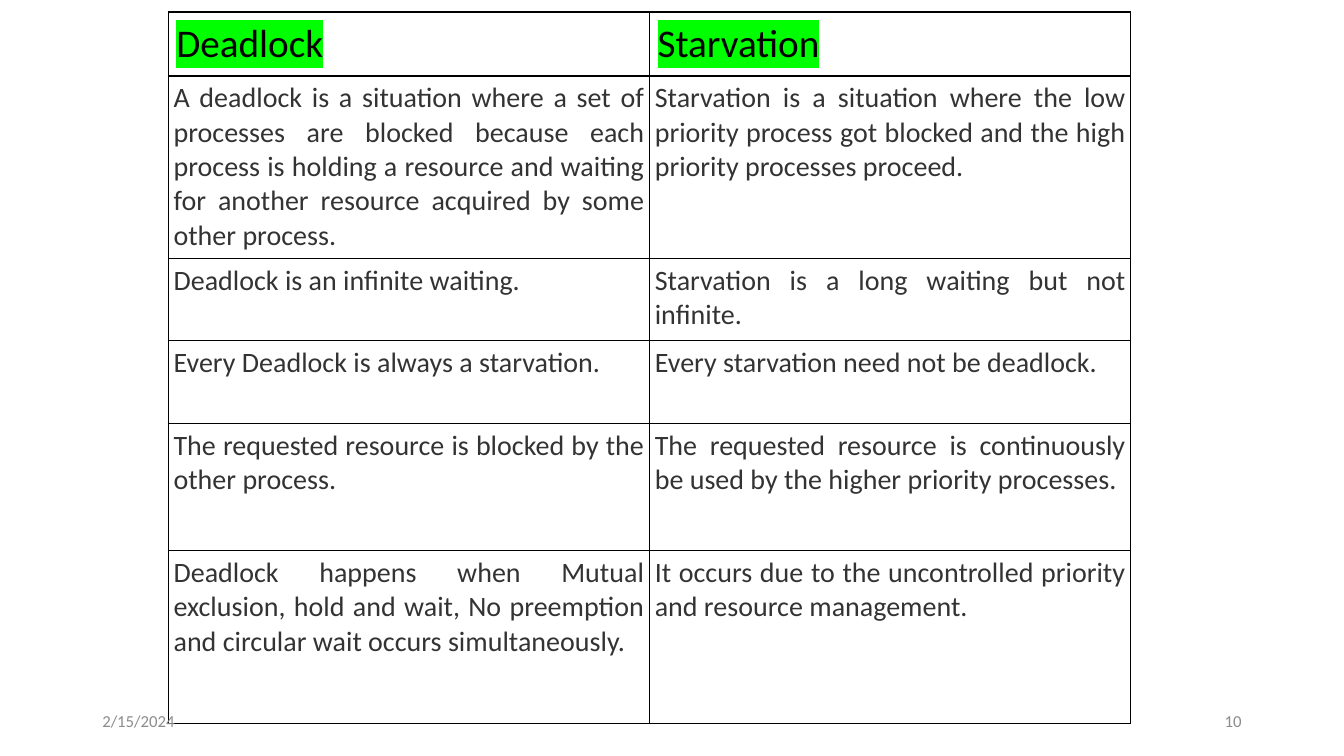
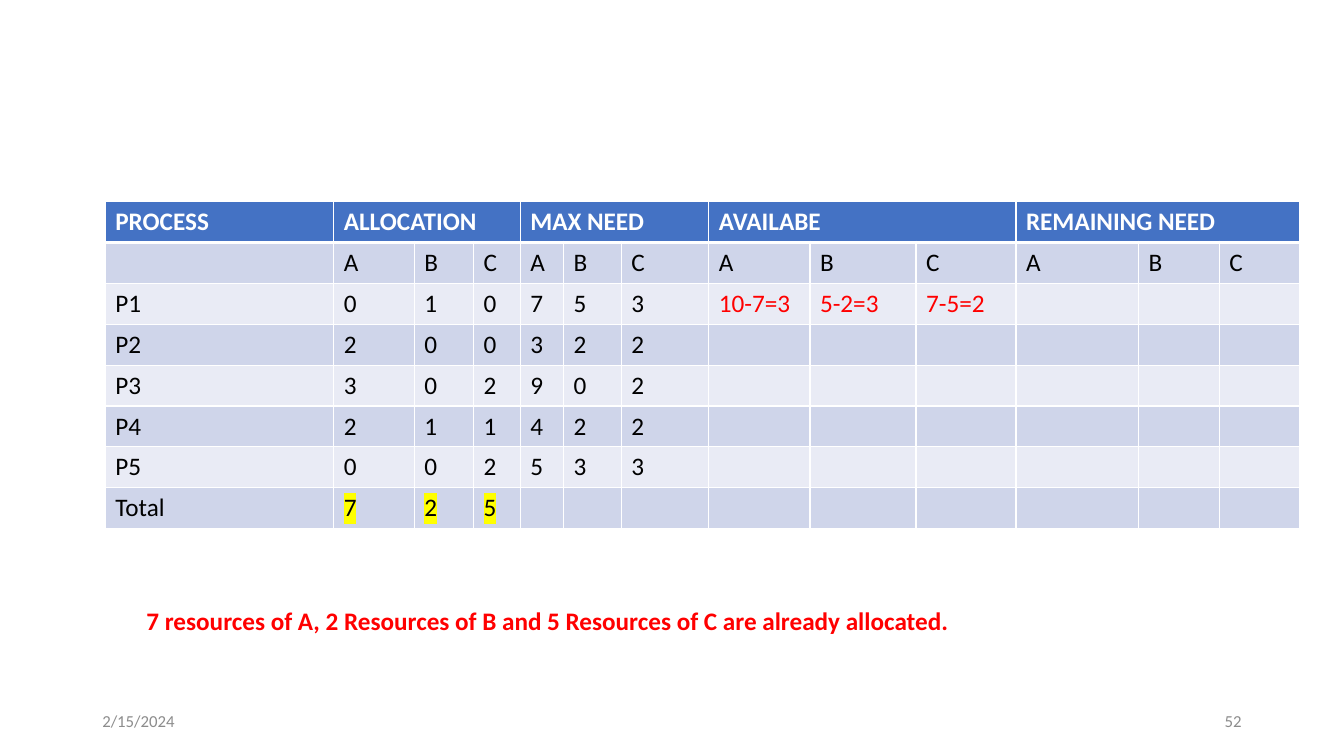
from dataclasses import dataclass
from typing import Sequence

from lxml import etree
from pptx import Presentation
from pptx.dml.color import RGBColor
from pptx.enum import text
from pptx.oxml import ns
from pptx.util import Pt

FONT = "Calibri"
BLACK, WHITE, RED = "000000", "FFFFFF", "FF0000"
GREY, DARK_GREY = "8C8C8C", "333333"
GREEN, YELLOW = "00FF00", "FFFF00"
HEADER_BLUE, BAND_DARK, BAND_LIGHT = "4472C4", "CFD5EA", "E9EBF5"
SIDES = ("L", "R", "T", "B")
DATE = "2/15/2024"

COMPARISON = (
    ("Deadlock", "Starvation"),
    ("A deadlock is a situation where a set of processes are blocked because each "
     "process is holding a resource and waiting for another resource acquired by "
     "some other process.",
     "Starvation is a situation where the low priority process got blocked and the "
     "high priority processes proceed."),
    ("Deadlock is an infinite waiting.",
     "Starvation is a long waiting but not infinite."),
    ("Every Deadlock is always a starvation.",
     "Every starvation need not be deadlock."),
    ("The requested resource is blocked by the other process.",
     "The requested resource is continuously be used by the higher priority processes."),
    ("Deadlock happens when Mutual exclusion, hold and wait, No preemption and "
     "circular wait occurs simultaneously.",
     "It occurs due to the uncontrolled priority and resource management."),
)

GROUPS = ("ALLOCATION", "MAX NEED", "AVAILABE", "REMAINING NEED")
RESOURCES = ("A", "B", "C")
PROCESSES = (
    ("P1", "0", "1", "0", "7", "5", "3", "10-7=3", "5-2=3", "7-5=2"),
    ("P2", "2", "0", "0", "3", "2", "2"),
    ("P3", "3", "0", "2", "9", "0", "2"),
    ("P4", "2", "1", "1", "4", "2", "2"),
    ("P5", "0", "0", "2", "5", "3", "3"),
    ("Total", "7", "2", "5"),
)
AVAILABLE_COLUMNS = range(7, 10)


@dataclass(frozen=True)
class Box:
    left: float
    top: float
    width: float
    height: float


@dataclass(frozen=True)
class TextStyle:
    size: float
    color: str
    bold: bool = False
    highlight: str | None = None
    align: text.PP_ALIGN = text.PP_ALIGN.LEFT


@dataclass(frozen=True)
class CellStyle:
    text: TextStyle
    border: str
    fill: str | None = None
    margin: float | None = None
    bottom_width: float = 1


def rgb(color: str) -> RGBColor:
    return RGBColor.from_string(color)


def add_color(parent, tag: str, color: str):
    """Append a colour element such as a:solidFill and return it."""
    element = etree.SubElement(parent, ns.qn(tag))
    etree.SubElement(element, ns.qn("a:srgbClr"), val=color)
    return element


def set_text(text_frame, content: str, style: TextStyle) -> None:
    text_frame.text = content
    paragraph = text_frame.paragraphs[0]
    paragraph.alignment = style.align
    for run in paragraph.runs:
        run.font.size = Pt(style.size)
        run.font.bold = style.bold
        run.font.color.rgb = rgb(style.color)
        if style.highlight:
            properties = run.font._element
            add_color(properties, "a:highlight", style.highlight)
        run.font.name = FONT


def add_text(slide, box: Box, content: str, style: TextStyle,
             anchor: text.MSO_ANCHOR = text.MSO_ANCHOR.TOP) -> None:
    shape = slide.shapes.add_textbox(
        Pt(box.left), Pt(box.top), Pt(box.width), Pt(box.height))
    shape.text_frame.word_wrap = True
    shape.text_frame.vertical_anchor = anchor
    set_text(shape.text_frame, content, style)


def add_footer(slide, number: int) -> None:
    for left, content, align in ((66, DATE, text.PP_ALIGN.LEFT),
                                 (678, str(number), text.PP_ALIGN.RIGHT)):
        add_text(slide, Box(left, 500.5, 216, 28.75), content,
                 TextStyle(12, GREY, align=align), text.MSO_ANCHOR.MIDDLE)


def add_plain_table(slide, left: float, top: float,
                    widths: Sequence[float], heights: Sequence[float]):
    """Add a table with the given column widths and row heights, without banding."""
    table = slide.shapes.add_table(
        len(heights), len(widths), Pt(left), Pt(top),
        Pt(sum(widths)), Pt(sum(heights))).table
    table.first_row = table.horz_banding = False
    for column, width in zip(table.columns, widths):
        column.width = Pt(width)
    for row, height in zip(table.rows, heights):
        row.height = Pt(height)
    return table


def format_cell(cell, content: str, style: CellStyle) -> None:
    if style.margin is not None:
        cell.margin_left = cell.margin_right = Pt(style.margin)
        cell.margin_top = cell.margin_bottom = Pt(style.margin)
    properties = cell._tc.get_or_add_tcPr()
    for side in SIDES:
        width = style.bottom_width if side == "B" else 1
        line = etree.SubElement(properties, ns.qn(f"a:ln{side}"), w=str(Pt(width)))
        add_color(line, "a:solidFill", style.border)
    if style.fill:
        cell.fill.solid()
        cell.fill.fore_color.rgb = rgb(style.fill)
    else:
        cell.fill.background()
    set_text(cell.text_frame, content, style.text)


def build_comparison(slide) -> None:
    table = add_plain_table(slide, 120.25, 8.6, [343.75] * 2,
                            [45.25, 130.25, 59, 59, 90.75, 123.75])
    header = CellStyle(TextStyle(28, BLACK, highlight=GREEN), BLACK, margin=5.75)
    body = CellStyle(TextStyle(20, DARK_GREY, align=text.PP_ALIGN.JUSTIFY),
                     BLACK, margin=3.75)
    for row, contents in enumerate(COMPARISON):
        for column, content in enumerate(contents):
            format_cell(table.cell(row, column), content, body if row else header)
    add_footer(slide, 10)


def allocation_text_style(content_row: Sequence[str], column: int) -> TextStyle:
    if column in AVAILABLE_COLUMNS and content_row[0] == "P1":
        return TextStyle(18, RED)
    if column and content_row[0] == "Total":
        return TextStyle(18, BLACK, highlight=YELLOW)
    return TextStyle(18, BLACK)


def build_allocation(slide) -> None:
    add_footer(slide, 52)
    widths = [163.2, 57.6, 42.2, 33.4, 31, 41.2, 62.6, 72.2, 75.8, 71.4, 87.6, 57.6, 57.6]
    header = ["PROCESS"]
    for group in GROUPS:
        header += [group, "", ""]
    rows = [header, ["", *RESOURCES * len(GROUPS)], *PROCESSES]
    table = add_plain_table(slide, 75.2, 144, widths, [29.2] * len(rows))

    header_style = CellStyle(TextStyle(18, WHITE, bold=True), WHITE,
                             HEADER_BLUE, bottom_width=3)
    for row, contents in enumerate(rows):
        band = BAND_DARK if row % 2 else BAND_LIGHT
        for column in range(len(widths)):
            content = contents[column] if column < len(contents) else ""
            style = header_style if row == 0 else CellStyle(
                allocation_text_style(contents, column), WHITE, band)
            format_cell(table.cell(row, column), content, style)
    for first in range(1, len(widths), len(RESOURCES)):
        table.cell(0, first).merge(table.cell(0, first + len(RESOURCES) - 1))

    add_text(slide, Box(97.5, 428.5, 661.5, 29),
             "7 resources of A, 2 Resources of B and 5 Resources of C are already allocated.",
             TextStyle(18, RED, bold=True))


def main() -> None:
    presentation = Presentation()
    presentation.slide_width, presentation.slide_height = Pt(960), Pt(540)
    blank_layout = presentation.slide_layouts[6]
    for build in (build_comparison, build_allocation):
        build(presentation.slides.add_slide(blank_layout))
    presentation.save("out.pptx")


if __name__ == "__main__":
    main()
